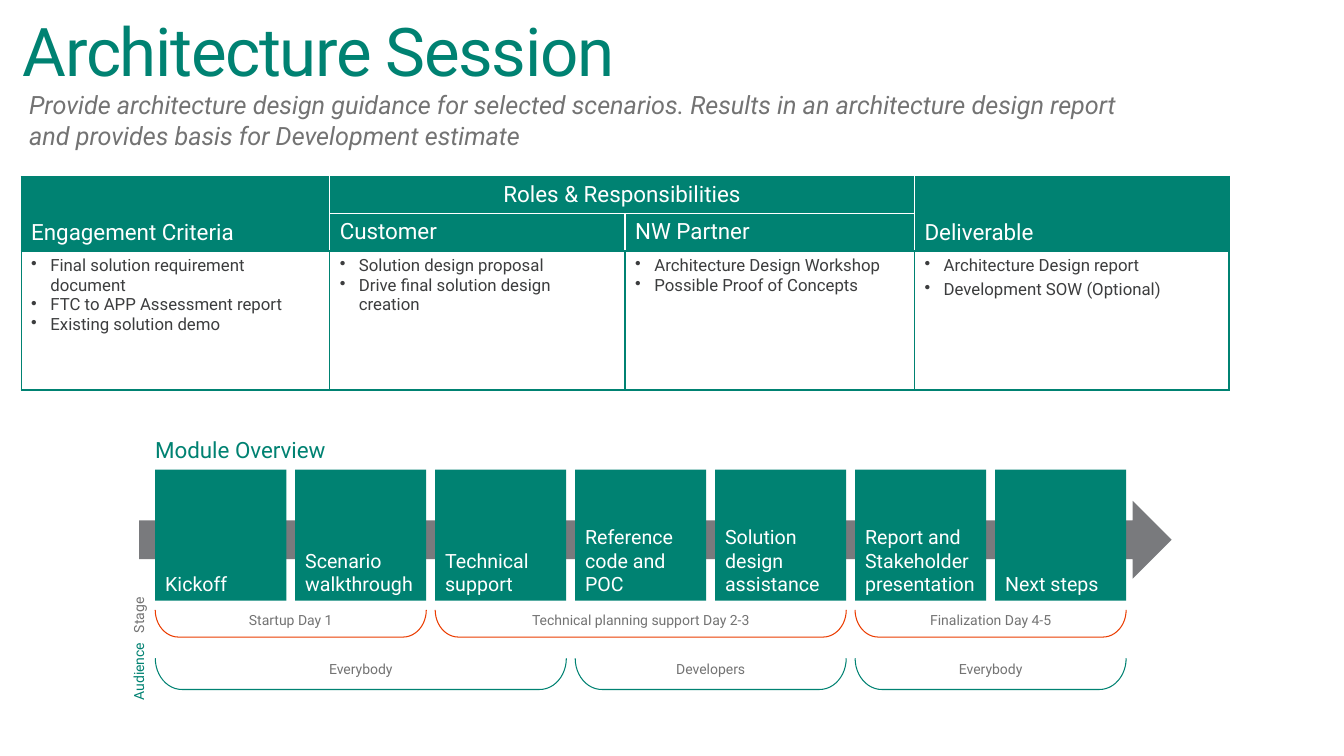
from lxml import etree
from pptx import Presentation
from pptx.dml.color import RGBColor
from pptx.enum.shapes import MSO_SHAPE
from pptx.enum.text import MSO_ANCHOR, PP_ALIGN
from pptx.oxml.ns import qn
from pptx.util import Inches, Pt

ARROW, RECT, BRACKET = MSO_SHAPE.RIGHT_ARROW, MSO_SHAPE.RECTANGLE, MSO_SHAPE.LEFT_BRACKET
TOP, MIDDLE, BOTTOM = MSO_ANCHOR.TOP, MSO_ANCHOR.MIDDLE, MSO_ANCHOR.BOTTOM
LEFT, CENTER = PP_ALIGN.LEFT, PP_ALIGN.CENTER
FONT = "Roboto"
COLORS = {"teal": "008272", "gray": "737373", "arrow": "797A7D",
          "ink": "3C3D3E", "orange": "EB3C00", "white": "FFFFFF"}

COLS = [3.06, 2.93, 2.87, 3.12]
ROWS = [0.37, 0.37, 1.38]
# row, column, last row, last column, text, alignment
HEADS = [(0, 0, 1, 0, "Engagement Criteria", LEFT),
         (0, 1, 0, 2, "Roles & Responsibilities", CENTER),
         (0, 3, 1, 3, "Deliverable", LEFT),
         (1, 1, 1, 1, "Customer", LEFT),
         (1, 2, 1, 2, "NW Partner", LEFT)]
# bullet texts, space after each
BODY = [(["Final solution requirement document", "FTC to APP Assessment report",
          "Existing solution demo"], 0),
        (["Solution design proposal", "Drive final solution design creation"], 0),
        (["Architecture Design Workshop", "Possible Proof of Concepts"], 0),
        (["Architecture Design report", "Development SOW (Optional)"], 3)]

STEPS = ["Kickoff", "Scenario walkthrough", "Technical support",
         "Reference code and POC", "Solution design assistance",
         "Report and Stakeholder presentation", "Next steps"]
# first step, number of steps, text
STAGES = [(0, 2, "Startup Day 1"), (2, 3, "Technical planning support Day 2-3"),
          (5, 2, "Finalization Day 4-5")]
CROWDS = [(0, 3, "Everybody"), (3, 2, "Developers"), (5, 2, "Everybody")]
SIDE, PITCH = 1.3, 8.33 / 6


def rgb(name):
    return RGBColor.from_string(COLORS[name])


def style(frame, size, color, align=LEFT, italic=False):
    """Format every paragraph and run of a text frame."""
    for para in frame.paragraphs:
        para.alignment = align
        for run in para.runs:
            font = run.font
            font.name, font.size, font.italic = FONT, Pt(size), italic
            font.color.rgb = rgb(color)


def turn(frame, mode):
    """Set the direction in which the text runs."""
    frame._txBody.bodyPr.set("vert", mode)


def add_text(slide, box, text, size, color, anchor=TOP, italic=False):
    frame = slide.shapes.add_textbox(*map(Inches, box)).text_frame
    frame.word_wrap = True
    frame.vertical_anchor = anchor
    frame.text = text
    style(frame, size, color, italic=italic)
    return frame


def add_shape(slide, kind, box, fill=None, line=None):
    shape = slide.shapes.add_shape(kind, *map(Inches, box))
    shape.shadow.inherit = False
    if fill:
        shape.fill.solid()
        shape.fill.fore_color.rgb = rgb(fill)
    else:
        shape.fill.background()
    if line:
        shape.line.color.rgb = rgb(line)
        shape.line.width = Pt(0.75)
    else:
        shape.line.fill.background()
    return shape


def add_header(slide, x, y):
    title = add_text(slide, (x, y, 13.13, 0.69), "Architecture Session",
                     48, "teal", MIDDLE)
    para = title.paragraphs[0]
    para.line_spacing = 0.9
    para.runs[0]._r.get_or_add_rPr().set("spc", "-100")
    add_text(slide, (x + 0.06, y + 0.64, 11.32, 0.71),
             "Provide architecture design guidance for selected scenarios. Results in "
             "an architecture design report and provides basis for Development estimate",
             18, "gray", italic=True)


def set_borders(cell, row, col):
    """White lines inside the header, teal lines elsewhere."""
    head = row < 2
    inner = {"L": head and col > 0, "R": head and col < 3,
             "T": row == 1, "B": row == 0}
    props = cell._tc.get_or_add_tcPr()
    for side, white in inner.items():
        line = etree.SubElement(props, qn("a:ln" + side), w=str(Pt(1)))
        fill = etree.SubElement(line, qn("a:solidFill"))
        etree.SubElement(fill, qn("a:srgbClr"), val=COLORS["white" if white else "teal"])


def add_bullets(frame, items, after):
    frame.text = "\n".join(items)
    style(frame, 12, "ink")
    for para in frame.paragraphs:
        para.space_after = Pt(after)
        props = para._p.get_or_add_pPr()
        props.set("marL", str(Inches(0.19)))
        props.set("indent", str(-Inches(0.19)))
        etree.SubElement(props, qn("a:buChar"), char="•")


def add_roles(slide, x, y):
    box = map(Inches, (x, y, sum(COLS), sum(ROWS)))
    table = slide.shapes.add_table(len(ROWS), len(COLS), *box).table
    table.first_row = table.horz_banding = False
    for col, width in zip(table.columns, COLS):
        col.width = Inches(width)
    for row, height in zip(table.rows, ROWS):
        row.height = Inches(height)
    for r in range(len(ROWS)):
        for c in range(len(COLS)):
            cell = table.cell(r, c)
            set_borders(cell, r, c)
            if r < 2:
                cell.fill.solid()
                cell.fill.fore_color.rgb = rgb("teal")
            else:
                cell.fill.background()
    for r, c, last_r, last_c, text, align in HEADS:
        cell = table.cell(r, c)
        if (r, c) != (last_r, last_c):
            cell.merge(table.cell(last_r, last_c))
        cell.vertical_anchor = BOTTOM if last_r > r else TOP
        cell.text_frame.text = text
        style(cell.text_frame, 16, "white", align)
    for c, (items, after) in enumerate(BODY):
        add_bullets(table.cell(2, c).text_frame, items, after)


def add_spans(slide, x, y, depth, color, spans):
    """Brackets that open upwards, each below a run of steps."""
    for first, count, text in spans:
        width = (count - 1) * PITCH + SIDE
        mid = x + first * PITCH + width / 2
        box = (mid - depth / 2, y + depth / 2 - width / 2, depth, width)
        shape = add_shape(slide, BRACKET, box, line=color)
        shape.rotation = 270
        shape.adjustments[0] = 0.854
        frame = shape.text_frame
        frame.vertical_anchor = MIDDLE
        turn(frame, "vert")
        frame.text = text
        style(frame, 10, "gray", CENTER)


def add_label(slide, box, text, color):
    frame = add_text(slide, box, text, 10, color)
    frame.margin_left = frame.margin_right = 0
    frame.margin_top = frame.margin_bottom = 0
    turn(frame, "vert270")


def add_module(slide, x, y):
    add_shape(slide, ARROW, (x - 0.16, y + 0.31, 10.24, 0.77), fill="arrow")
    for i, text in enumerate(STEPS):
        shape = add_shape(slide, RECT, (x + i * PITCH, y, SIDE, SIDE), fill="teal")
        frame = shape.text_frame
        frame.word_wrap = True
        frame.vertical_anchor = BOTTOM
        frame.text = text
        style(frame, 14, "white")
    add_text(slide, (x - 0.1, y - 0.38, 2.33, 0.37), "Module Overview", 16, "teal")
    add_spans(slide, x, y + 1.39, 0.27, "orange", STAGES)
    add_spans(slide, x, y + 1.87, 0.31, "teal", CROWDS)
    add_label(slide, (x - 0.25, y + 1.17, 0.17, 0.45), "Stage", "gray")
    add_label(slide, (x - 0.25, y + 1.62, 0.17, 0.67), "Audience", "teal")


def main():
    deck = Presentation()
    deck.slide_width, deck.slide_height = Inches(13.33), Inches(7.5)
    slide = deck.slides.add_slide(deck.slide_layouts[6])
    add_header(slide, 0.13, 0.2)
    add_roles(slide, 0.21, 1.75)
    add_module(slide, 1.54, 4.66)
    deck.save("out.pptx")


if __name__ == "__main__":
    main()
